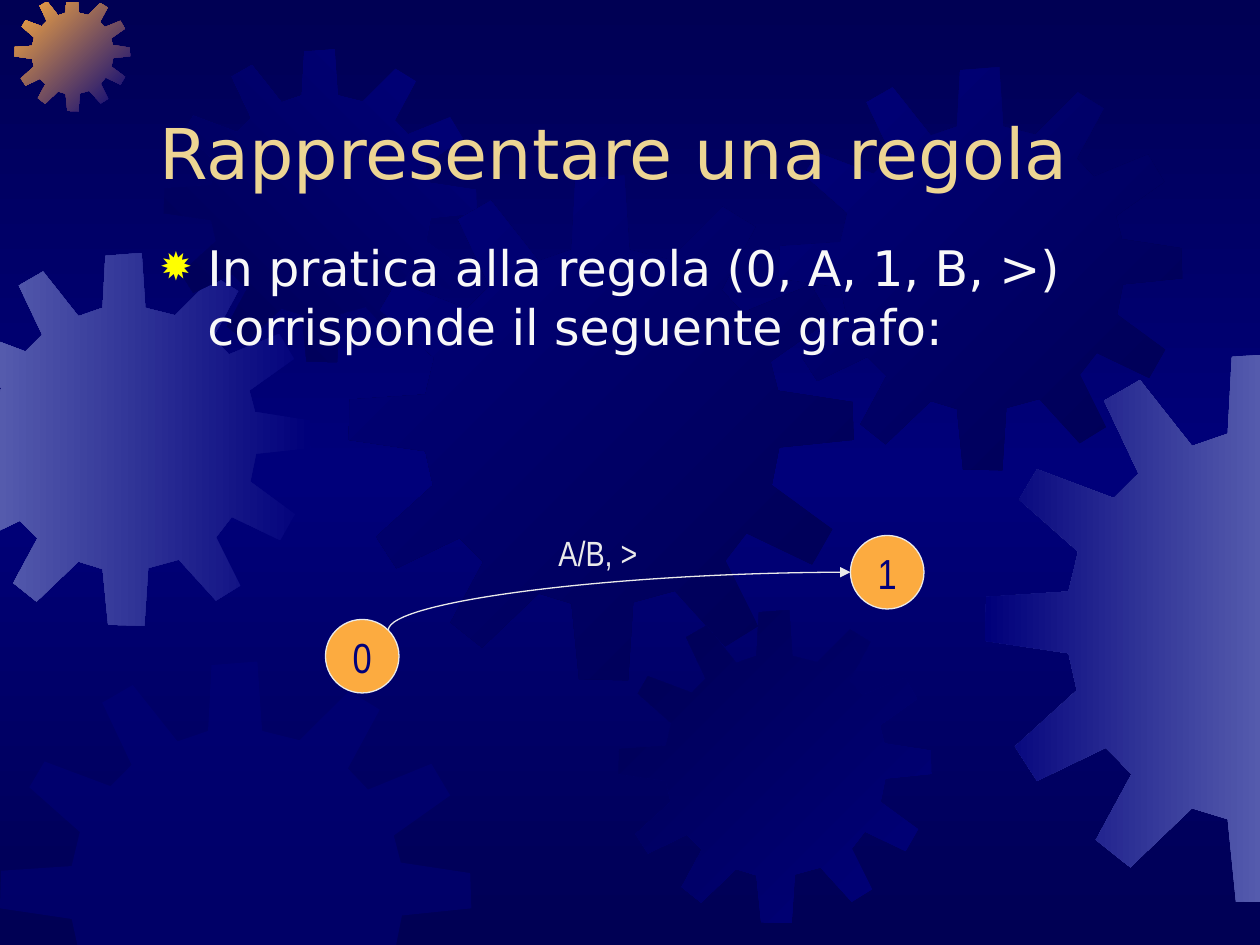
from copy import deepcopy
from math import sqrt

from lxml import etree
from pptx import Presentation
from pptx.dml.color import RGBColor
from pptx.enum.shapes import MSO_CONNECTOR, MSO_SHAPE
from pptx.enum.text import MSO_ANCHOR, MSO_AUTO_SIZE, PP_ALIGN
from pptx.oxml.ns import qn
from pptx.util import Emu, Inches, Pt

CURVE, OVAL = MSO_CONNECTOR.CURVE, MSO_SHAPE.OVAL
TOP, MIDDLE, BOTTOM = MSO_ANCHOR.TOP, MSO_ANCHOR.MIDDLE, MSO_ANCHOR.BOTTOM
LEFT, CENTER = PP_ALIGN.LEFT, PP_ALIGN.CENTER
NO_FIT = MSO_AUTO_SIZE.NONE

COLUMNS, ROWS = 120, 90
WIDTH, HEIGHT = Inches(10), Inches(7.5)
CELL = WIDTH // COLUMNS
NIGHT, NAVY, LILAC, ORANGE = "000054", "00007A", "555BAD", "FCAB40"
PALE = "EAEAEA"
SANS, NARROW = "DejaVu Sans", "Arial Narrow"

GEAR_SPAN = 401
GEAR_OUTLINE = [
    (255, 67), (223, 59), (219, 0), (180, 3), (177, 59), (151, 68),
    (113, 20), (87, 35), (112, 88), (94, 106), (38, 85), (25, 107),
    (68, 145), (61, 174), (1, 178), (0, 210), (61, 219), (67, 246),
    (22, 287), (38, 312), (88, 288), (107, 307), (81, 355), (106, 375),
    (151, 332), (177, 340), (183, 400), (222, 401), (226, 339), (259, 330),
    (299, 374), (325, 358), (299, 306), (316, 284), (368, 309), (384, 281),
    (336, 246), (342, 216), (401, 210), (400, 180), (341, 171), (335, 148),
    (383, 114), (367, 87), (313, 109), (296, 91), (323, 41), (297, 25),
]
GEAR_LIMITS = [(0, -0.1, 1), (0, 120.1, -1), (1, 0.2, 1), (1, 90.5, -1)]
GEARS = [
    ((-5.9, 24.1, 35.5), (NAVY, LILAC), 180),
    ((1.4, -0.4, 11), (NAVY, ORANGE), 135),
    ((15.6, 4.7, 29.8), (NAVY, NIGHT), 225),
    ((33.2, 16.7, 48.1), (NIGHT, NAVY), 135),
    ((0, 63, 44.9), (NAVY,), None),
    ((58.9, 58.1, 29.8), (NAVY, NIGHT), 135),
    ((74.2, 6.4, 38.4), (NIGHT, NAVY), 135),
    ((93.8, 33.6, 52.4), (LILAC, NAVY), 180),
]


def colour(code):
    return RGBColor.from_string(code)


def cells(*lengths):
    return [Emu(round(length * CELL)) for length in lengths]


def set_values(target, values):
    for name, value in values.items():
        setattr(target, name, value)


def add_xml(parent, tag, **values):
    return etree.SubElement(parent, qn(tag), values)


def paint_gradient(fill, codes, angle):
    fill.gradient()
    fill.gradient_angle = angle
    first = fill.gradient_stops[0]._gs
    for _ in codes[2:]:
        first.addnext(deepcopy(first))
    for index, (stop, code) in enumerate(zip(fill.gradient_stops, codes)):
        stop.color.rgb = colour(code)
        stop.position = index / (len(codes) - 1)


def clip(points, axis, limit, sign):
    kept = []
    for start, end in zip(points, points[1:] + points[:1]):
        before = (start[axis] - limit) * sign
        after = (end[axis] - limit) * sign
        if before >= 0:
            kept.append(start)
        if before * after < 0:
            share = before / (before - after)
            kept.append(tuple(a + (b - a) * share for a, b in zip(start, end)))
    return kept


def add_gear(page, box, codes, angle):
    left, top, size = box
    points = [(left + x / GEAR_SPAN * size, top + y / GEAR_SPAN * size)
              for x, y in GEAR_OUTLINE]
    for limit in GEAR_LIMITS:
        points = clip(points, *limit)
    points = [(round(x * 100), round(y * 100)) for x, y in points]
    builder = page.shapes.build_freeform(*points[0], scale=CELL / 100)
    builder.add_line_segments(points[1:], close=True)
    gear = builder.convert_to_shape()
    gear.shadow.inherit = False
    gear.line.fill.background()
    if angle is None:
        gear.fill.solid()
        gear.fill.fore_color.rgb = colour(codes[0])
        shade = gear._element.spPr.find(qn("a:solidFill"))[0]
        add_xml(shade, "a:alpha", val="50000")
    else:
        paint_gradient(gear.fill, codes, angle)
    page.shapes.title._element.addprevious(gear._element)


def write(shape, text, size, face, code, anchor=TOP, align=LEFT, wrap=True):
    frame = shape.text_frame
    set_values(frame, {"auto_size": NO_FIT, "word_wrap": wrap,
                       "vertical_anchor": anchor})
    para = frame.paragraphs[0]
    set_values(para, {"alignment": align, "space_before": Pt(0)})
    span = para.add_run()
    span.text = text
    set_values(span.font, {"size": Pt(size), "name": face})
    span.font.color.rgb = colour(code)
    return para


def place(shape, box):
    set_values(shape, dict(zip(("left", "top", "width", "height"), cells(*box))))


def add_title(page, box):
    title = page.shapes.title
    place(title, box)
    write(title, "Rappresentare una regola", 40, SANS, "EDD593", BOTTOM)


def add_body(page, box):
    body = page.placeholders[1]
    place(body, box)
    para = write(body, "In pratica alla regola (0, A, 1, B, >) corrisponde "
                 "il seguente grafo:", 28, SANS, "F8F8F8")
    properties = para._p.get_or_add_pPr()
    indent = Inches(0.38)
    properties.set("marL", str(indent))
    properties.set("indent", str(-indent))
    add_xml(add_xml(properties, "a:buClr"), "a:srgbClr", val="FFFF00")
    add_xml(properties, "a:buSzPct", val="80000")
    add_xml(properties, "a:buFont", typeface=SANS)
    add_xml(properties, "a:buChar", char="✹")


def style_line(line):
    line.color.rgb = colour(PALE)
    line.width = Pt(0.75)


def add_node(group, box, text):
    node = group.shapes.add_shape(OVAL, *cells(*box))
    node.shadow.inherit = False
    node.fill.solid()
    node.fill.fore_color.rgb = colour(ORANGE)
    style_line(node.line)
    write(node, text, 24, NARROW, NAVY, MIDDLE, CENTER, False)


def add_arc(group, start, end):
    middle_x, middle_y = [(a + b) / 2 for a, b in zip(start, end)]
    half_x, half_y = (end[0] - start[0]) / 2, (start[1] - end[1]) / 2
    arc = group.shapes.add_connector(CURVE, *cells(
        middle_x + half_y, middle_y + half_x,
        middle_x - half_y, middle_y - half_x))
    style_line(arc.line)
    properties = arc._element.spPr
    properties.find(qn("a:xfrm")).set("rot", "5400000")
    properties.find(qn("a:prstGeom")).set("prst", "curvedConnector2")
    add_xml(properties.find(qn("a:ln")), "a:tailEnd", type="triangle")
    add_xml(properties, "a:effectLst")


def add_graph(page, box):
    left, top, width, height = box
    size = 7
    first = (left, top + height - size)
    second = (left + width - size, top + 1)
    group = page.shapes.add_group_shape()
    add_node(group, (*first, size, size), "0")
    add_node(group, (*second, size, size), "1")
    reach = size / 2 / sqrt(2)
    start = (first[0] + size / 2 + reach, first[1] + size / 2 - reach)
    add_arc(group, start, (second[0], second[1] + size / 2))
    label = group.shapes.add_textbox(*cells(left + 21, top, 10, 5.25))
    write(label, "A/B, >", 20, NARROW, PALE, wrap=False)


def build():
    deck = Presentation()
    set_values(deck, {"slide_width": WIDTH, "slide_height": HEIGHT})
    page = deck.slides.add_slide(deck.slide_layouts[1])
    paint_gradient(page.background.fill, (NIGHT, NAVY, NIGHT), 270)
    for gear in GEARS:
        add_gear(page, *gear)
    add_title(page, (14, 4, 102, 15))
    add_body(page, (14, 22, 102, 14))
    add_graph(page, (31, 50, 57, 16))
    deck.save("out.pptx")


if __name__ == "__main__":
    build()
